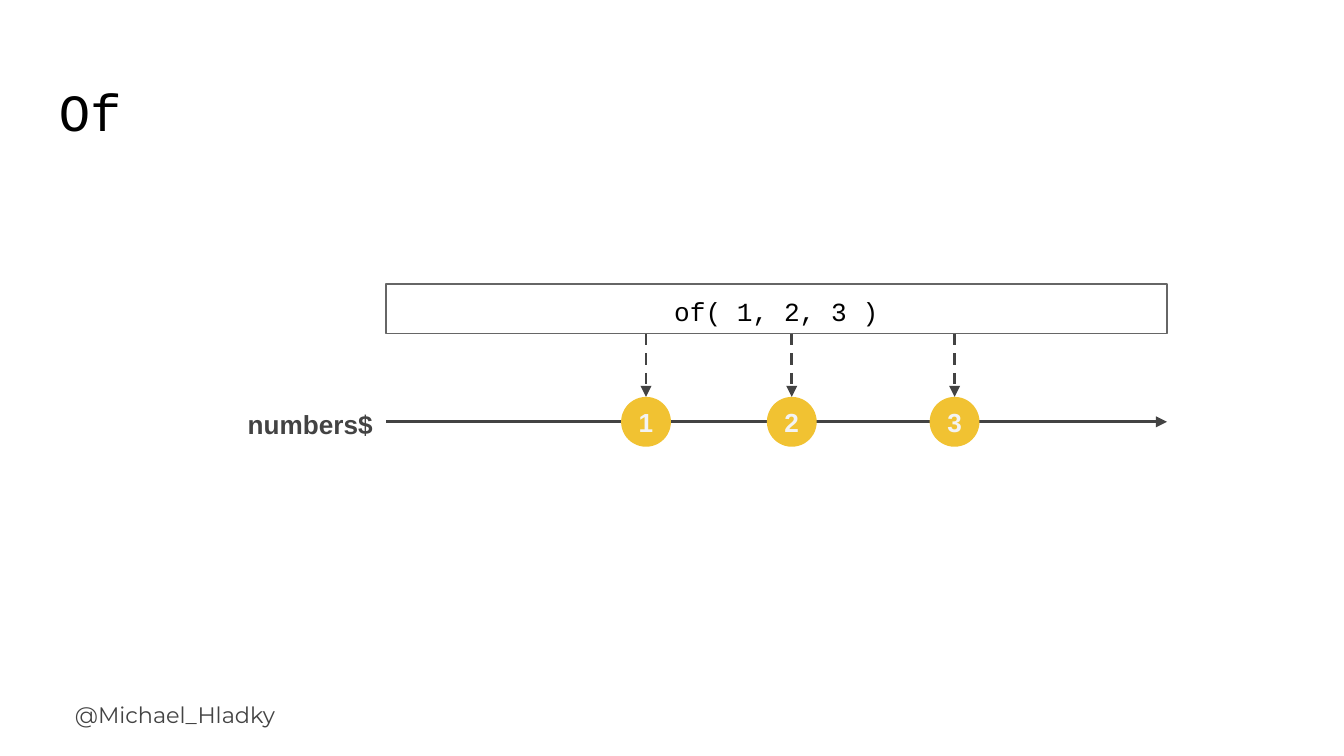
from typing import NamedTuple

from lxml.etree import SubElement
from pptx import Presentation
from pptx.dml.color import RGBColor
from pptx.enum.dml import MSO_LINE_DASH_STYLE as Dash
from pptx.enum.shapes import MSO_CONNECTOR as Connector, MSO_SHAPE as Preset
from pptx.enum.text import MSO_ANCHOR as Anchor, PP_ALIGN as Align
from pptx.oxml.ns import qn
from pptx.util import Pt

WHITE = RGBColor(0xFF, 0xFF, 0xFF)
BLACK = RGBColor(0x00, 0x00, 0x00)
DARK = RGBColor(0x43, 0x43, 0x43)
BORDER = RGBColor(0x66, 0x66, 0x66)
YELLOW = RGBColor(0xF1, 0xC2, 0x32)
LIGHT = RGBColor(0xF3, 0xF3, 0xF3)

AXIS_LEFT, AXIS_RIGHT, AXIS_Y = 206.8, 625.2, 226
BOX_TOP, BOX_HEIGHT = 152.1, 26.7
DIAMETER = 26.7


class Emission(NamedTuple):
    value: str
    center: float


EMISSIONS = [Emission("1", 346.1), Emission("2", 424.2), Emission("3", 511.4)]


def set_text(shape, text: str, *, font: str = "Arial", size: float = 14,
             color: RGBColor = DARK, bold: bool = False, align=Align.LEFT,
             anchor=Anchor.TOP, spacing: float = 1.0, inset: float = 7.2) -> None:
    frame = shape.text_frame
    frame.word_wrap = True
    frame.vertical_anchor = anchor
    frame.margin_left = frame.margin_right = Pt(inset)
    frame.margin_top = frame.margin_bottom = Pt(inset)
    paragraph = frame.paragraphs[0]
    paragraph.alignment = align
    paragraph.line_spacing = spacing
    run = paragraph.add_run()
    run.text = text
    run.font.name = font
    run.font.size = Pt(size)
    run.font.bold = bold
    run.font.color.rgb = color


def add_label(slide, left: float, top: float, width: float, height: float,
              text: str, **text_format) -> None:
    box = slide.shapes.add_textbox(Pt(left), Pt(top), Pt(width), Pt(height))
    set_text(box, text, **text_format)


def add_filled(slide, preset, left: float, top: float, width: float,
               height: float, fill: RGBColor):
    shape = slide.shapes.add_shape(preset, Pt(left), Pt(top), Pt(width), Pt(height))
    shape.shadow.inherit = False
    shape.fill.solid()
    shape.fill.fore_color.rgb = fill
    shape.line.fill.background()
    return shape


def add_arrow(slide, x1: float, y1: float, x2: float, y2: float,
              dashed: bool = False) -> None:
    arrow = slide.shapes.add_connector(Connector.STRAIGHT, Pt(x1), Pt(y1), Pt(x2), Pt(y2))
    arrow.line.color.rgb = DARK
    arrow.line.width = Pt(1.5)
    if dashed:
        arrow.line.dash_style = Dash.DASH
    SubElement(arrow.line._get_or_add_ln(), qn("a:tailEnd"), type="triangle")
    SubElement(arrow._element.spPr, qn("a:effectLst"))


def add_emission(slide, emission: Emission) -> None:
    radius = DIAMETER / 2
    add_arrow(slide, emission.center, BOX_TOP + BOX_HEIGHT,
              emission.center, AXIS_Y - radius, dashed=True)
    circle = add_filled(slide, Preset.OVAL, emission.center - radius,
                        AXIS_Y - radius, DIAMETER, DIAMETER, YELLOW)
    set_text(circle, emission.value, color=LIGHT, bold=True,
             align=Align.CENTER, anchor=Anchor.MIDDLE, inset=0)


def main() -> None:
    presentation = Presentation()
    presentation.slide_width, presentation.slide_height = Pt(720), Pt(405)
    slide = presentation.slides.add_slide(presentation.slide_layouts[6])
    slide.background.fill.solid()
    slide.background.fill.fore_color.rgb = WHITE

    # Footer and title
    add_label(slide, 33.1, 368.6, 161.3, 32.4, "@Michael_Hladky",
              font="Montserrat", size=12)
    add_label(slide, 24.5, 35.3, 646.6, 45.4, "Of",
              font="Courier New", size=28, color=BLACK)

    # Timeline with its name
    add_arrow(slide, AXIS_LEFT, AXIS_Y, AXIS_RIGHT, AXIS_Y)
    add_label(slide, 34.6, 208, AXIS_LEFT - 34.6, 36, "numbers$", bold=True,
              align=Align.RIGHT, anchor=Anchor.MIDDLE, spacing=1.15)

    # Operator box
    operator = add_filled(slide, Preset.RECTANGLE, AXIS_LEFT, BOX_TOP,
                          AXIS_RIGHT - AXIS_LEFT, BOX_HEIGHT, WHITE)
    operator.line.color.rgb = BORDER
    operator.line.width = Pt(0.75)
    set_text(operator, "of( 1, 2, 3 )", font="Courier New", color=BLACK,
             align=Align.CENTER, anchor=Anchor.MIDDLE, spacing=1.15)

    # Emitted values
    for emission in EMISSIONS:
        add_emission(slide, emission)

    presentation.save("out.pptx")


if __name__ == "__main__":
    main()
